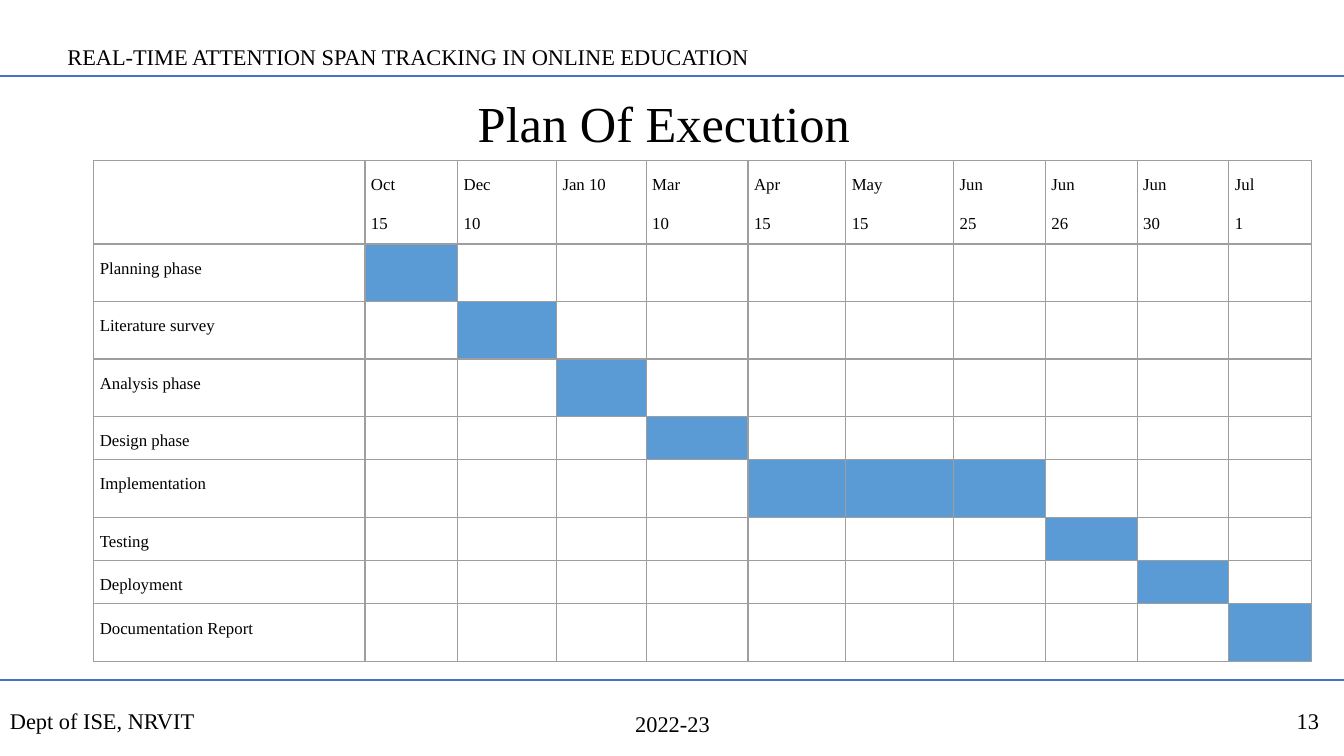
from lxml.etree import SubElement
from pptx import Presentation
from pptx.dml.color import RGBColor
from pptx.enum.shapes import MSO_CONNECTOR
from pptx.enum.text import MSO_ANCHOR, PP_ALIGN
from pptx.oxml.ns import qn
from pptx.util import Inches, Pt

theme = {
    "font": "Times New Roman",
    "ink": RGBColor.from_string("000000"),
    "rule": RGBColor.from_string("4472C4"),
    "bar": RGBColor.from_string("5B9BD5"),
    "grid": "9E9E9E",
    "title": Pt(36),
    "note": Pt(16),
    "cell": Pt(12),
}


def write(frame, lines, size, **form):
    for i, line in enumerate(lines):
        para = frame.paragraphs[0] if i == 0 else frame.add_paragraph()
        for key, val in form.items():
            setattr(para, key, val)
        run = para.add_run()
        run.text = line
        run.font.name = theme["font"]
        run.font.size = theme[size]
        run.font.color.rgb = theme["ink"]


def edge(cell):
    props = cell._tc.get_or_add_tcPr()
    for side in ("lnL", "lnR", "lnT", "lnB"):
        line = SubElement(props, qn(f"a:{side}"), w=str(Pt(1)))
        fill = SubElement(line, qn("a:solidFill"))
        SubElement(fill, qn("a:srgbClr"), val=theme["grid"])


deck = Presentation()
deck.slide_width = Inches(13.33)
deck.slide_height = Inches(7.5)
slide = deck.slides.add_slide(deck.slide_layouts[5])

title = slide.shapes.title
place = {"left": 0.42, "top": 0.87, "width": 12.33, "height": 0.7}
for key, val in place.items():
    setattr(title, key, Inches(val))
title.text_frame.vertical_anchor = MSO_ANCHOR.BOTTOM
write(title.text_frame, ["Plan Of Execution"], "title",
      alignment=PP_ALIGN.CENTER, line_spacing=0.9)

notes = [
    ("REAL-TIME ATTENTION SPAN TRACKING IN ONLINE EDUCATION",
     0.57, 0.38, 10.48, 0.37, PP_ALIGN.LEFT),
    ("Dept of ISE, NRVIT", 0, 6.95, 3.92, 0.4, PP_ALIGN.LEFT),
    ("2022-23", 4.42, 6.98, 4.5, 0.4, PP_ALIGN.CENTER),
    ("13", 9.42, 6.95, 3.76, 0.4, PP_ALIGN.RIGHT),
]
for text, x, y, w, h, align in notes:
    box = slide.shapes.add_textbox(Inches(x), Inches(y), Inches(w), Inches(h))
    box.text_frame.word_wrap = True
    box.text_frame.vertical_anchor = MSO_ANCHOR.MIDDLE
    write(box.text_frame, [text], "note", alignment=align)

for y in (0.75, 6.75):
    rule = slide.shapes.add_connector(
        MSO_CONNECTOR.STRAIGHT, 0, Inches(y), deck.slide_width, Inches(y))
    rule.line.color.rgb = theme["rule"]
    rule.line.width = Pt(1.5)
    SubElement(rule._element.spPr, qn("a:effectLst"))

dates = [[], ["Oct", "15"], ["Dec", "10"], ["Jan 10"], ["Mar", "10"],
         ["Apr", "15"], ["May", "15"], ["Jun", "25"], ["Jun", "26"],
         ["Jun", "30"], ["Jul", "1"]]
tasks = [
    ("Planning phase", 1, 1, 0.57),
    ("Literature survey", 2, 2, 0.57),
    ("Analysis phase", 3, 3, 0.57),
    ("Design phase", 4, 4, 0.43),
    ("Implementation", 5, 7, 0.57),
    ("Testing", 8, 8, 0.43),
    ("Deployment", 9, 9, 0.43),
    ("Documentation Report", 10, 10, 0.57),
]
wide = [2.69, 0.92, 0.98, 0.89, 1.01, 0.97, 1.07, 0.91, 0.91, 0.91, 0.82]
high = [0.83] + [task[3] for task in tasks]

table = slide.shapes.add_table(
    len(high), len(wide), Inches(0.93), Inches(1.59),
    Inches(sum(wide)), Inches(sum(high))).table
table.first_row = False
table.horz_banding = False
for col, w in zip(table.columns, wide):
    col.width = Inches(w)
for row, h in zip(table.rows, high):
    row.height = Inches(h)

pads = ("margin_left", "margin_right", "margin_top", "margin_bottom")
body = {"alignment": PP_ALIGN.JUSTIFY, "line_spacing": 1.5,
        "space_after": Pt(8)}
for r, row in enumerate(table.rows):
    name, start, end, _ = tasks[r - 1] if r else ("", 0, -1, 0)
    for c, cell in enumerate(row.cells):
        for pad in pads:
            setattr(cell, pad, Inches(0.06))
        edge(cell)
        if start <= c <= end:
            cell.fill.solid()
            cell.fill.fore_color.rgb = theme["bar"]
        else:
            cell.fill.background()
        lines = dates[c] if r == 0 else [name] if c == 0 else []
        write(cell.text_frame, lines, "cell", **body)
        if not lines:
            cell.text_frame.paragraphs[0].font.size = theme["cell"]

deck.save("out.pptx")
